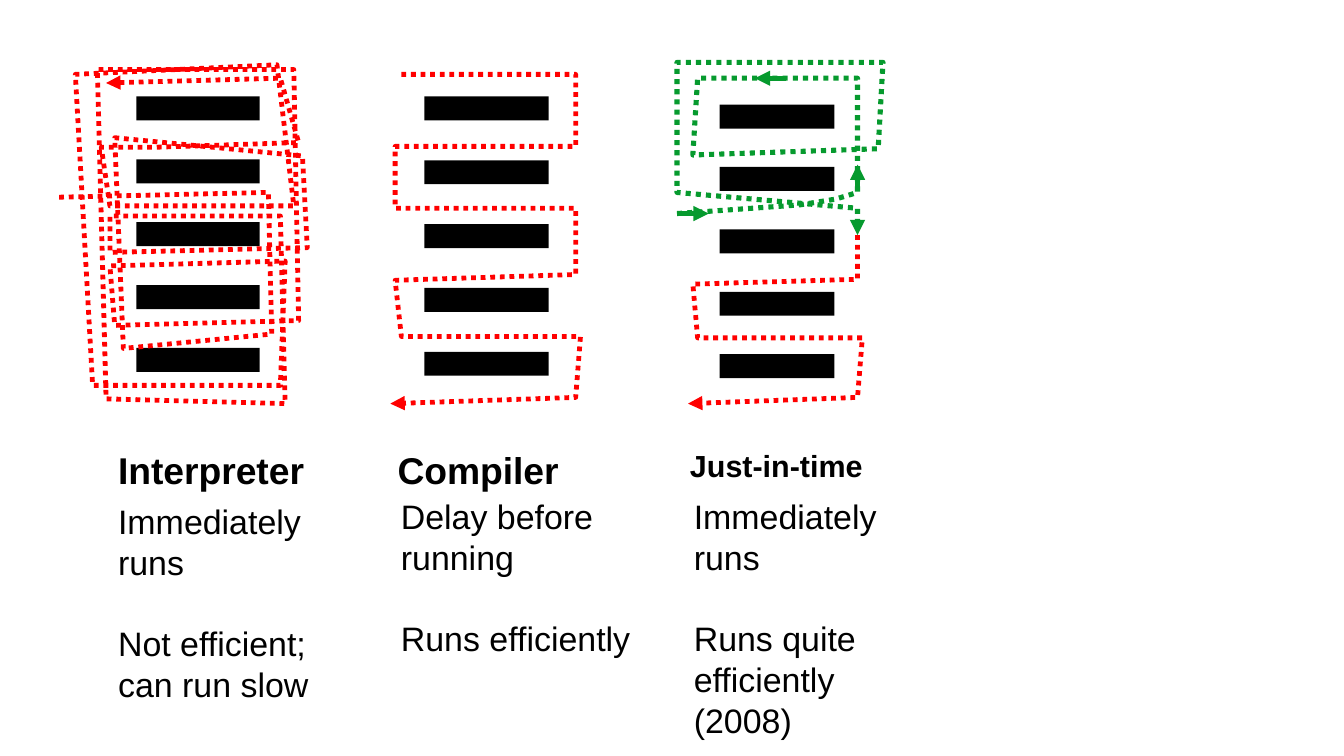
"""Build a slide comparing an interpreter, a compiler and just-in-time execution."""
from pptx import Presentation
from pptx.dml.color import RGBColor
from pptx.enum.dml import MSO_LINE
from pptx.enum.shapes import MSO_CONNECTOR, MSO_SHAPE
from pptx.oxml.ns import qn
from pptx.util import Cm, Pt
from lxml.etree import SubElement

BLACK = RGBColor(0x00, 0x00, 0x00)
RED = RGBColor(0xFF, 0x00, 0x00)
GREEN = RGBColor(0x06, 0x9A, 0x2E)

presentation = Presentation()
presentation.slide_width = Cm(27.99)
presentation.slide_height = Cm(15.75)
slide = presentation.slides.add_slide(presentation.slide_layouts[6])


def style_line(shape, color, width, arrow="tailEnd", dash=None):
    shape.line.color.rgb = color
    shape.line.width = Pt(width)
    if dash:
        shape.line.dash_style = dash
    properties = shape.element.spPr
    SubElement(properties.find(qn("a:ln")), qn(f"a:{arrow}"), type="triangle")
    if properties.find(qn("a:effectLst")) is None:
        SubElement(properties, qn("a:effectLst"))


def add_text(text, left, top, width, height, size, bold=False, gap_before=None):
    box = slide.shapes.add_textbox(Cm(left), Cm(top), Cm(width), Cm(height))
    frame = box.text_frame
    frame.word_wrap = True
    frame.text = text
    for index, paragraph in enumerate(frame.paragraphs):
        paragraph.font.name = "Arial"
        paragraph.font.size = Pt(size)
        paragraph.font.bold = bold
        paragraph.font.color.rgb = BLACK
        if index == gap_before:
            paragraph.space_before = Pt(size * 1.2)


bar_columns = [
    (2.84, 2.01, 2.57, 1.31),
    (8.84, 2.01, 2.59, 1.33),
    (14.99, 2.18, 2.39, 1.3),
]
for left, top, width, pitch in bar_columns:
    for row in range(5):
        bar = slide.shapes.add_shape(
            MSO_SHAPE.RECTANGLE, Cm(left), Cm(top + row * pitch), Cm(width), Cm(0.5))
        bar.fill.solid()
        bar.fill.fore_color.rgb = BLACK
        bar.line.fill.background()
        bar.shadow.inherit = False

interpreter_path = [
    (2.21, 1.73), (5.84, 1.63), (6.22, 2.97), (3.2, 3.07), (2.11, 3.07),
    (2.29, 4.29), (6.12, 4.29), (5.77, 1.35), (1.57, 1.55), (1.93, 8.03),
    (5.84, 8.03), (5.94, 5.44), (2.29, 5.54), (2.39, 6.78), (6.22, 6.68),
    (6.12, 1.45), (2.03, 1.45), (2.21, 8.31), (5.94, 8.41), (5.84, 4.5),
    (2.29, 4.5), (2.29, 5.26), (6.4, 5.16), (6.3, 3.25), (2.39, 2.87),
    (2.57, 7.26), (5.66, 6.96), (5.59, 4.01), (1.19, 4.11),
]
compiler_path = [
    (8.36, 1.55), (11.99, 1.55), (11.99, 3.05), (8.23, 3.05), (8.23, 4.34),
    (11.99, 4.34), (11.99, 5.72), (8.23, 5.84), (8.36, 7.01), (12.09, 7.01),
    (11.99, 8.28), (8.13, 8.41),
]
compiled_path = [
    (17.86, 4.9), (17.86, 5.82), (14.43, 5.92), (14.53, 7.04), (17.96, 7.04),
    (17.86, 8.28), (14.33, 8.41),
]
interpreted_path = [
    (14.1, 4.45), (16.66, 4.27), (17.4, 4.15), (17.86, 4.01), (17.86, 1.63),
    (14.53, 1.63), (14.43, 3.23), (18.29, 3.1), (18.39, 1.3), (14.1, 1.3),
    (14.1, 4.01), (17.86, 4.34), (17.86, 4.9),
]
execution_paths = [
    (interpreter_path, RED, 2.83, "headEnd"),
    (compiler_path, RED, 2.83, "tailEnd"),
    (compiled_path, RED, 2.83, "tailEnd"),
    (interpreted_path, GREEN, 3, "tailEnd"),
]
for path_points, color, width, arrow in execution_paths:
    points = [(Cm(x), Cm(y)) for x, y in path_points]
    builder = slide.shapes.build_freeform(*points[0])
    builder.add_line_segments(points[1:], close=False)
    route = builder.convert_to_shape()
    route.fill.background()
    route.shadow.inherit = False
    style_line(route, color, width, arrow, MSO_LINE.ROUND_DOT)

direction_arrows = [
    (16.36, 1.63, 15.72, 1.63),
    (14.2, 4.45, 14.76, 4.45),
    (17.86, 3.89, 17.86, 3.43),
]
for ends in direction_arrows:
    connector = slide.shapes.add_connector(
        MSO_CONNECTOR.STRAIGHT, *[Cm(value) for value in ends])
    style_line(connector, GREEN, 3)

add_text("Interpreter", 2.21, 9.19, 5, 1.12, size=22, bold=True)
add_text("Compiler", 8.03, 9.19, 4.37, 1.12, size=22, bold=True)
add_text("Just-in-time", 14.12, 9.19, 4.29, 1.12, size=18, bold=True)
add_text("Immediately\nruns\nNot efficient;\ncan run slow",
         2.21, 10.31, 5, 4.19, size=20, gap_before=2)
add_text("Delay before running\nRuns efficiently",
         8.1, 10.21, 5.41, 4.19, size=20, gap_before=1)
add_text("Immediately\nruns\nRuns quite efficiently\n(2008)",
         14.2, 10.21, 4.6, 4.98, size=20, gap_before=2)

presentation.save("out.pptx")
